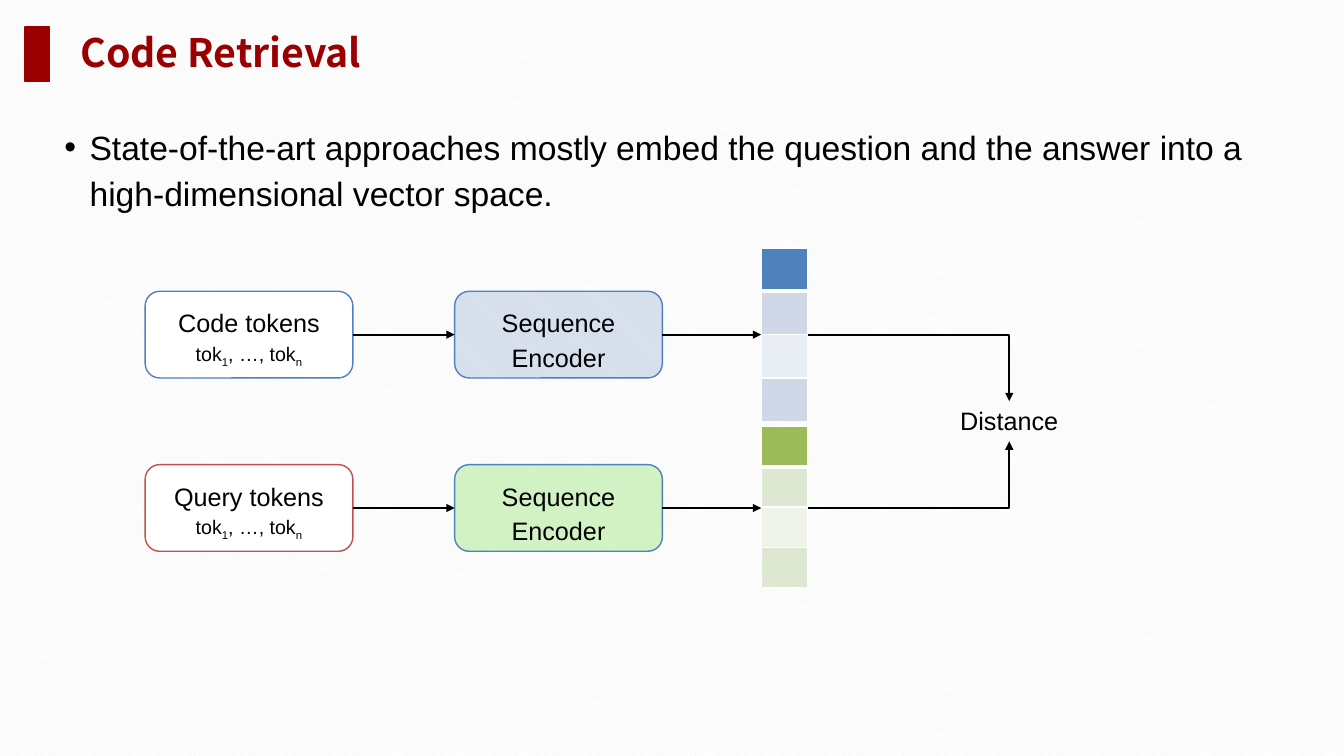
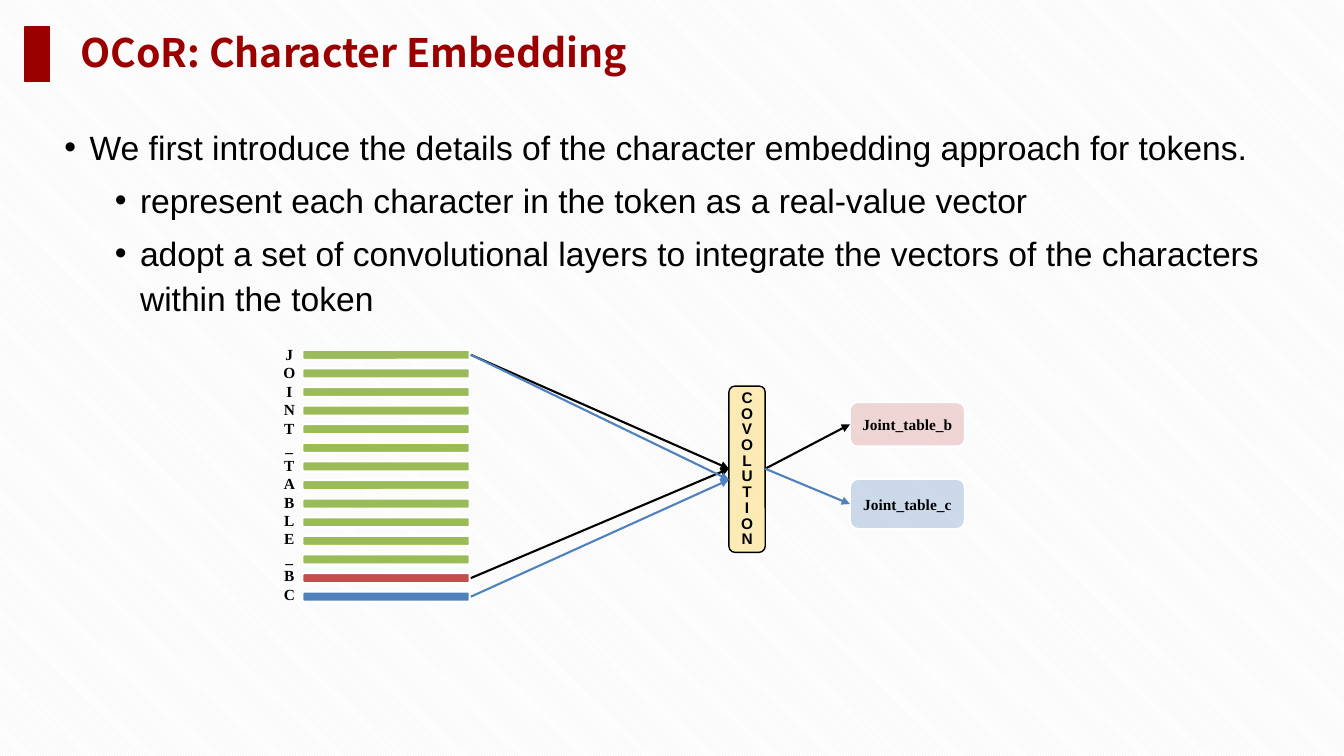
from lxml import etree
from pptx import Presentation, util as u
from pptx.dml.color import RGBColor
from pptx.enum import dml, shapes, text
from pptx.oxml import ns

CELL = 0.1  # inches: one column or row of the layout grid
COLUMNS, ROWS = 133.3, 75

BLACK = RGBColor(0x00, 0x00, 0x00)
WHITE = RGBColor(0xFF, 0xFF, 0xFF)
STRIPE = RGBColor(0xEB, 0xEB, 0xEB)
CRIMSON = RGBColor(0x9B, 0x00, 0x00)
BLUE = RGBColor(0x4F, 0x81, 0xBD)
RED = RGBColor(0xC0, 0x50, 0x4D)
GREEN = RGBColor(0x9B, 0xBB, 0x59)
AMBER = RGBColor(0xFF, 0xC0, 0x00)
NAVY = RGBColor(0x1D, 0x50, 0xA2)
LIME = RGBColor(0x3F, 0xD2, 0x00)
BLUE_BAND, BLUE_PALE = RGBColor(0xD0, 0xD8, 0xE8), RGBColor(0xE9, 0xED, 0xF4)
GREEN_BAND, GREEN_PALE = RGBColor(0xDE, 0xE7, 0xD1), RGBColor(0xEF, 0xF3, 0xEA)

TITLE_FONT, BODY_FONT, SERIF = "Noto Sans CJK SC", "Arial", "Times New Roman"
CENTER = text.PP_ALIGN.CENTER
TOP, MIDDLE = text.MSO_ANCHOR.TOP, text.MSO_ANCHOR.MIDDLE


def grid(cells):
    return u.Inches(cells * CELL)


def add_xml(parent, tag, **attributes):
    return etree.SubElement(parent, ns.qn(tag), **attributes)


def write_run(paragraph, content, size, font, color, bold, baseline=0):
    run = paragraph.add_run()
    run.text = content
    run.font.size = u.Pt(size)
    run.font.name = font
    run.font.bold = bold
    run.font.color.rgb = color
    if baseline:
        run._r.get_or_add_rPr().set("baseline", str(baseline * 1000))


def write(frame, lines, size=18, font=BODY_FONT, color=BLACK, bold=False,
          align=None, spacing=None, anchor=TOP, insets=(1, 0.5, 1, 0.5)):
    """Write one paragraph a line; a line is a string or a list of (text, format) runs."""
    frame.word_wrap = True
    frame.vertical_anchor = anchor
    (frame.margin_left, frame.margin_top,
     frame.margin_right, frame.margin_bottom) = map(grid, insets)
    base = dict(size=size, font=font, color=color, bold=bold)
    for index, line in enumerate(lines):
        paragraph = frame.add_paragraph() if index else frame.paragraphs[0]
        paragraph.alignment = align
        paragraph.line_spacing = spacing
        for content, changes in [(line, {})] if isinstance(line, str) else line:
            write_run(paragraph, content, **{**base, **changes})


class Deck:
    """Holds the shared style and the slide being built."""

    def __init__(self):
        self.presentation = Presentation()
        self.presentation.slide_width = grid(COLUMNS)
        self.presentation.slide_height = grid(ROWS)
        fill = self.presentation.slide_master.background.fill
        fill.patterned()
        fill.pattern = dml.MSO_PATTERN.DARK_DOWNWARD_DIAGONAL
        fill.fore_color.rgb = STRIPE
        fill.back_color.rgb = WHITE
        self.slide = None

    def start_slide(self, title):
        self.slide = self.presentation.slides.add_slide(
            self.presentation.slide_layouts[6])
        self.box(2.5, 2.7, 2.4, 5.4, CRIMSON, CRIMSON, rounded=False)
        self.label(7, 2.7, 122.9, 5.4, [title], size=28, font=TITLE_FONT,
                   color=CRIMSON, bold=True, spacing=0.9, anchor=MIDDLE,
                   insets=(1, 0, 0, 0))

    def label(self, left, top, width, height, lines, **style):
        shape = self.slide.shapes.add_textbox(*map(grid, (left, top, width, height)))
        write(shape.text_frame, lines, **style)
        return shape

    def bullets(self, items):
        """Write (level, text) items as the bulleted body."""
        shape = self.label(5.4, 11.5, 124.5, 57.9, [content for _, content in items],
                           size=24, spacing=1.14)
        for index, (level, _) in enumerate(items):
            paragraph = shape.text_frame.paragraphs[index]
            paragraph.level = level
            if index:
                paragraph.space_before = u.Pt(5 if level else 10)
            properties = paragraph._p.get_or_add_pPr()
            properties.set("marL", str(grid(2.5 + 5 * level)))
            properties.set("indent", str(grid(-2.5)))
            add_xml(properties, "a:buFont", typeface=BODY_FONT)
            add_xml(properties, "a:buChar", char="•")

    def box(self, left, top, width, height, fill, line, line_width=1,
            opacity=100, lines=(), rounded=True, **style):
        kind = shapes.MSO_SHAPE.ROUNDED_RECTANGLE if rounded else shapes.MSO_SHAPE.RECTANGLE
        shape = self.slide.shapes.add_shape(kind, *map(grid, (left, top, width, height)))
        shape.shadow.inherit = False
        shape.fill.solid()
        shape.fill.fore_color.rgb = fill
        if opacity < 100:
            color = shape._element.spPr.find(ns.qn("a:solidFill"))[0]
            add_xml(color, "a:alpha", val=str(opacity * 1000))
        shape.line.color.rgb = line
        shape.line.width = u.Pt(line_width)
        write(shape.text_frame, lines, align=CENTER, **style)

    def arrow(self, start, end, color=BLACK, bent=False):
        kind = shapes.MSO_CONNECTOR.ELBOW if bent else shapes.MSO_CONNECTOR.STRAIGHT
        connector = self.slide.shapes.add_connector(kind, *map(grid, (*start, *end)))
        connector.line.color.rgb = color
        connector.line.width = u.Pt(1.5)
        properties = connector._element.spPr
        if bent:
            properties.find(ns.qn("a:prstGeom")).set("prst", "bentConnector2")
        add_xml(properties.find(ns.qn("a:ln")), "a:tailEnd", type="triangle")
        add_xml(properties, "a:effectLst")

    def vector(self, left, top, width, row_height, colors):
        """Draw a one-column table whose first cell has a thick lower edge."""
        frame = self.slide.shapes.add_table(
            len(colors), 1, *map(grid, (left, top, width, row_height * len(colors))))
        table = frame.table
        table.first_row = table.horz_banding = False
        for index, color in enumerate(colors):
            table.rows[index].height = grid(row_height)
            cell = table.cell(index, 0)
            cell.margin_top = cell.margin_bottom = 0
            properties = cell._tc.get_or_add_tcPr()
            for side in "LRTB":
                thick = (index, side) in ((0, "B"), (1, "T"))
                edge = add_xml(properties, f"a:ln{side}", w=str(u.Pt(3 if thick else 1)))
                add_xml(add_xml(edge, "a:solidFill"), "a:srgbClr", val=str(WHITE))
            cell.fill.solid()
            cell.fill.fore_color.rgb = color


def build_retrieval(deck):
    deck.start_slide("Code Retrieval")
    deck.bullets([(0, "State-of-the-art approaches mostly embed the question and the "
                      "answer into a high-dimensional vector space.")])
    token_left, encoder_left, vector_left = 14.4, 45.1, 75.5
    width, height, vector_width = 20.6, 8.6, 4.6
    distance_x = 100.1
    box_style = dict(spacing=1.14, insets=(1.2, 0.8, 1.2, 0.8))
    small, lowered = dict(size=14), dict(size=14, baseline=-25)
    token_list = [("tok", small), ("1", lowered), (", …, tok", small), ("n", lowered)]
    lanes = [
        ("Code tokens", 28.9, BLUE, NAVY, 16, 24.6, 4.3,
         [BLUE, BLUE_BAND, BLUE_PALE, BLUE_BAND], 39.8),
        ("Query tokens", 46.1, RED, LIME, 22, 42.3, 4,
         [GREEN, GREEN_BAND, GREEN_PALE, GREEN_BAND], 43.8),
    ]
    for name, top, outline, tint, opacity, vector_top, row, colors, distance_y in lanes:
        middle = top + height / 2
        deck.box(token_left, top, width, height, WHITE, outline,
                 lines=[name, token_list], **box_style)
        deck.box(encoder_left, top, width, height, tint, BLUE, opacity=opacity,
                 lines=["Sequence", "Encoder"], **box_style)
        deck.vector(vector_left, vector_top, vector_width, row, colors)
        deck.arrow((token_left + width, middle), (encoder_left, middle))
        deck.arrow((encoder_left + width, middle), (vector_left, middle))
        deck.arrow((vector_left + vector_width, middle), (distance_x, distance_y), bent=True)
    deck.label(88.6, 39.7, 23, 4, ["Distance"], align=CENTER)


def build_embedding(deck):
    deck.start_slide("OCoR: Character Embedding")
    deck.bullets([
        (0, "We first introduce the details of the character embedding approach for tokens."),
        (1, "represent each character in the token as a real-value vector"),
        (1, "adopt a set of convolutional layers to integrate the vectors of the "
            "characters within the token"),
    ])
    serif = dict(size=11, font=SERIF, bold=True)
    letters = "JOINT_TABLE_BC"
    deck.label(26.9, 33.7, 3.6, 26.9, letters, align=CENTER, **serif)

    bar_left, bar_width, bar_height = 30, 16.6, 1
    first_top, last_top = 34.7, 58.7
    step = (last_top - first_top) / (len(letters) - 1)
    for index, letter in enumerate(letters):
        color = {12: RED, 13: BLUE}.get(index, GREEN)
        deck.box(bar_left, first_top + index * step, bar_width, bar_height,
                 color, WHITE, 1.5)

    layer = (72.3, 38.3, 3.6, 16.5)
    output_left, output_width = 84.3, 11.4
    outputs = [("Joint_table_b", 39.9, 4.4, RED, 22), ("Joint_table_c", 47.5, 5, BLUE, 28)]
    for name, top, height, tint, opacity in outputs:
        deck.box(output_left, top, output_width, height, tint, WHITE, 1.5, opacity,
                 [name], anchor=MIDDLE, insets=(0, 0.5, 0, 0.5), **serif)
    deck.box(*layer, AMBER, BLACK, opacity=28)
    deck.label(*layer, "COVOLUTION", size=11, bold=True, align=CENTER, spacing=u.Pt(11.2))

    bar_right, layer_right = bar_left + bar_width + 0.1, layer[0] + layer[2]
    first_middle = first_top + bar_height / 2
    for color, entry, last, output in ((BLACK, 46.5, 12, 42.1), (BLUE, 47.6, 13, 50)):
        for index in (0, last):
            deck.arrow((bar_right, first_middle + index * step), (layer[0], entry), color)
        deck.arrow((layer_right, 46.5), (output_left, output), color)


def main():
    deck = Deck()
    build_retrieval(deck)
    build_embedding(deck)
    deck.presentation.save("out.pptx")


if __name__ == "__main__":
    main()
